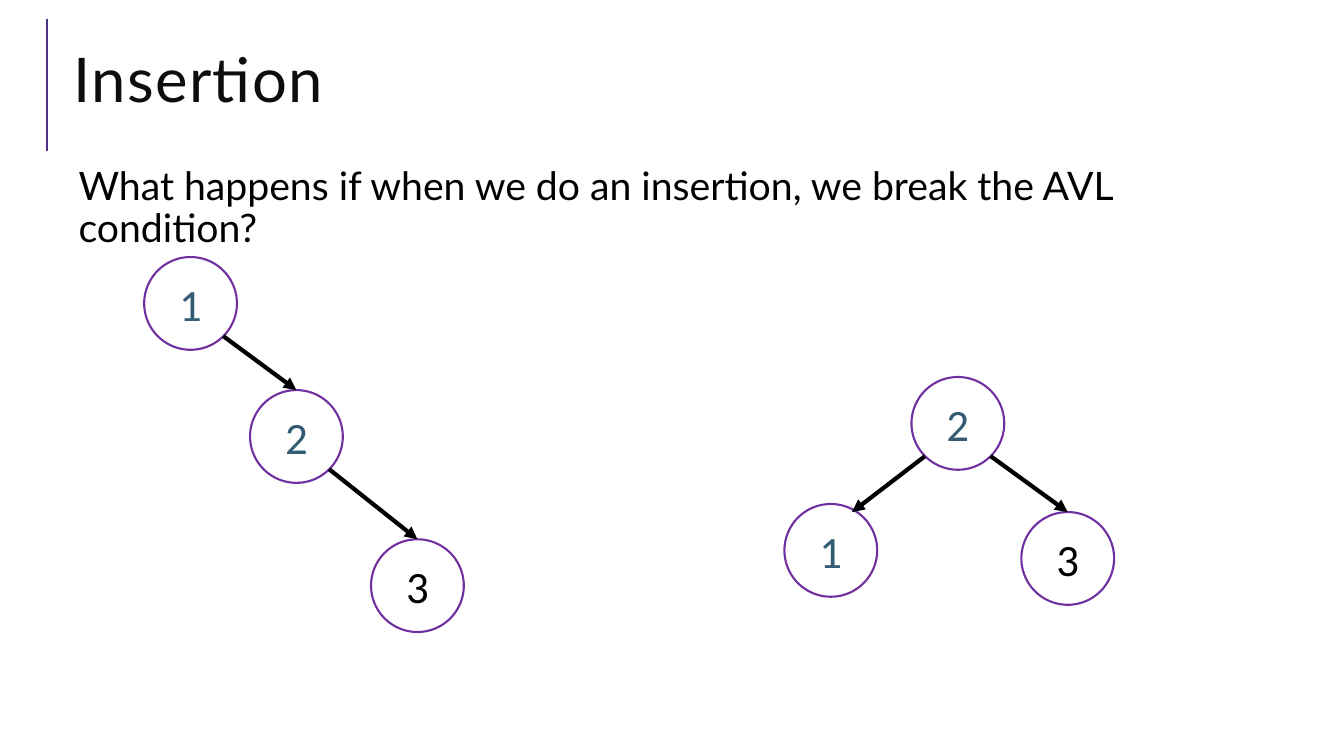
import math
import pptx
import pptx.util
import pptx.dml.color
import pptx.enum.shapes
import pptx.enum.text
import pptx.oxml
import pptx.oxml.ns
from pptx.util import Inches

# Content
TITLE = "Insertion"
QUESTION = "What happens if when we do an insertion, we break the AVL condition?"

TEAL, BLACK, PURPLE, INDIGO = "335B74", "000000", "7030A0", "4C3282"
DIAMETER = 0.92
RADIUS = DIAMETER / 2
DIAGONAL = RADIUS * math.sqrt(0.5)

# Each node: label, left, top, text colour
# Each edge: parent, child, side of the parent, arrow tip offset from child centre
TOP = (0, -RADIUS)
TREES = [
    {
        "nodes": [("1", 1.43, 2.55, TEAL), ("2", 2.48, 3.87, TEAL),
                  ("3", 3.68, 5.35, BLACK)],
        "edges": [("1", "2", 1, TOP), ("2", "3", 1, TOP)],
    },
    {
        "nodes": [("1", 7.78, 5.0, TEAL), ("2", 9.04, 3.74, TEAL),
                  ("3", 10.13, 5.08, BLACK)],
        "edges": [("2", "1", -1, (0.21, -0.38)), ("2", "3", 1, TOP)],
    },
]


def rgb(value):
    return pptx.dml.color.RGBColor.from_string(value)


def add_run(paragraph, text, font_name, size, color):
    run = paragraph.add_run()
    run.text = text
    run.font.name = font_name
    run.font.size = pptx.util.Pt(size)
    run.font.color.rgb = rgb(color)
    return run


def add_text_box(left, top, width, height):
    frame = slide.shapes.add_textbox(
        Inches(left), Inches(top), Inches(width), Inches(height)).text_frame
    frame.word_wrap = True
    return frame


def add_line(start, end, color, width, arrow=False):
    connector = slide.shapes.add_connector(
        pptx.enum.shapes.MSO_CONNECTOR.STRAIGHT,
        *(Inches(value) for value in (*start, *end)))
    connector.line.color.rgb = rgb(color)
    connector.line.width = pptx.util.Pt(width)
    if arrow:
        line = connector.line._get_or_add_ln()
        pptx.oxml.ns.qn("a:tailEnd")
        line.append(pptx.oxml.parse_xml(
            '<a:tailEnd %s type="triangle"/>' % pptx.oxml.ns.nsdecls("a")))
    connector._element.spPr.append(pptx.oxml.parse_xml(
        "<a:effectLst %s/>" % pptx.oxml.ns.nsdecls("a")))


def add_node(label, left, top, color):
    shape = slide.shapes.add_shape(
        pptx.enum.shapes.MSO_SHAPE.OVAL,
        Inches(left), Inches(top), Inches(DIAMETER), Inches(DIAMETER))
    shape.shadow.inherit = False
    shape.fill.solid()
    shape.fill.fore_color.rgb = rgb("FFFFFF")
    shape.line.color.rgb = rgb(PURPLE)
    shape.line.width = pptx.util.Pt(1.5)
    shape.text_frame.vertical_anchor = pptx.enum.text.MSO_ANCHOR.MIDDLE
    paragraph = shape.text_frame.paragraphs[0]
    paragraph.alignment = pptx.enum.text.PP_ALIGN.CENTER
    add_run(paragraph, label, "Calibri", 32, color)


presentation = pptx.Presentation()
presentation.slide_width = Inches(13.33)
presentation.slide_height = Inches(7.5)
slide = presentation.slides.add_slide(presentation.slide_layouts[6])

# Title with its accent line
add_line((0.47, 1.5), (0.47, 0.19), INDIGO, 1.5)
title = add_text_box(0.63, 0.29, 12.23, 1.11)
title.vertical_anchor = pptx.enum.text.MSO_ANCHOR.MIDDLE
title.paragraphs[0].line_spacing = 0.8
title_run = add_run(title.paragraphs[0], TITLE, "Lato", 44, "0D0D0D")
title_run.font._element.set("spc", "100")

# Question
question = add_text_box(0.63, 1.6, 12.23, 0.77)
question.margin_left = Inches(0.15)
question.margin_right = question.margin_top = question.margin_bottom = Inches(0.05)
question.paragraphs[0].line_spacing = 0.9
add_run(question.paragraphs[0], QUESTION, "Lato", 28, BLACK)

# Trees before and after rebalancing
for tree in TREES:
    centers = {}
    for label, left, top, color in tree["nodes"]:
        add_node(label, left, top, color)
        centers[label] = (left + RADIUS, top + RADIUS)
    for parent, child, side, (tip_x, tip_y) in tree["edges"]:
        parent_x, parent_y = centers[parent]
        child_x, child_y = centers[child]
        add_line((parent_x + side * DIAGONAL, parent_y + DIAGONAL),
                 (child_x + tip_x, child_y + tip_y), BLACK, 3, arrow=True)

presentation.save("out.pptx")
